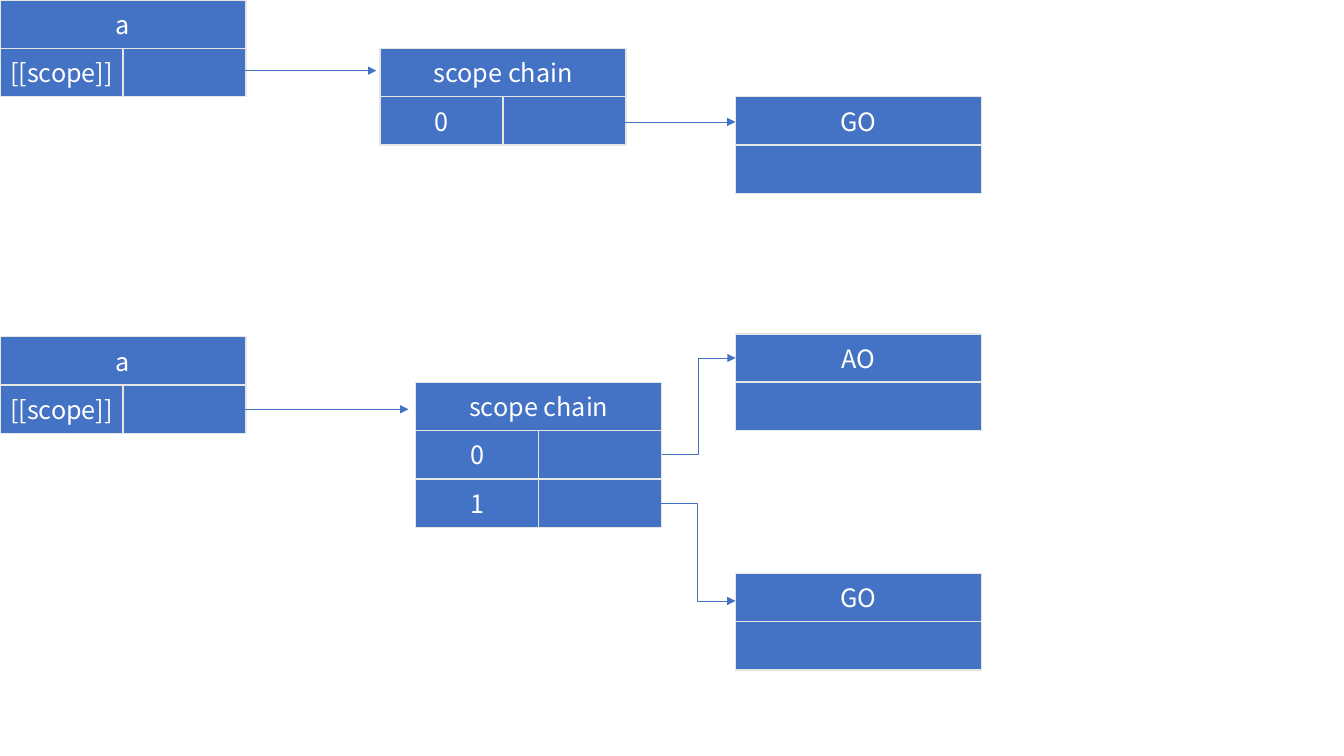
import pptx
import pptx.util
import pptx.dml.color
import pptx.enum.shapes
import pptx.enum.text
import pptx.oxml.ns
import lxml.etree

COLORS = {"box": "4472C4", "border": "E7E6E6", "arrow": "4472C4", "text": "FFFFFF"}
COLUMN = 1.22
ROW = 0.48
OBJECT_COLUMN = 5.98


def color(name):
    return pptx.dml.color.RGBColor.from_string(COLORS[name])


def across(columns):
    return pptx.util.Inches(columns * COLUMN)


def down(rows):
    return pptx.util.Inches(rows * ROW)


def add_child(parent, tag, **attributes):
    return lxml.etree.SubElement(parent, pptx.oxml.ns.qn(tag), **attributes)


def write(frame, text, size=18, font="Noto Sans CJK SC", ink="text"):
    frame.word_wrap = True
    frame.margin_left = frame.margin_right = pptx.util.Inches(0.05)
    frame.vertical_anchor = pptx.enum.text.MSO_ANCHOR.MIDDLE
    para = frame.paragraphs[0]
    para.alignment = pptx.enum.text.PP_ALIGN.CENTER
    span = para.add_run()
    span.text = text
    span.font.size = pptx.util.Pt(size)
    span.font.name = font
    span.font.color.rgb = color(ink)


class ScopeDiagram:
    def __init__(self, page, border_width=1, arrow_width=0.5):
        self.page = page
        self.border_width = pptx.util.Pt(border_width)
        self.arrow_width = pptx.util.Pt(arrow_width)

    def cell(self, shapes, column, row, width, text):
        box = shapes.add_shape(pptx.enum.shapes.MSO_SHAPE.RECTANGLE,
                               across(column), down(row), across(width), down(1))
        box.shadow.inherit = False
        box.fill.solid()
        box.fill.fore_color.rgb = color("box")
        box.line.color.rgb = color("border")
        box.line.width = self.border_width
        if text:
            write(box.text_frame, text)

    def record(self, column, row, rows, grouped=True):
        shapes = self.page.shapes
        if grouped:
            shapes = shapes.add_group_shape().shapes
        for row_index, texts in enumerate(rows):
            width = 2 / len(texts)
            for index, text in enumerate(texts):
                self.cell(shapes, column + index * width, row + row_index, width, text)

    def arrow(self, start, end, elbow=False, bend=0.5):
        kinds = pptx.enum.shapes.MSO_CONNECTOR
        line = self.page.shapes.add_connector(
            kinds.ELBOW if elbow else kinds.STRAIGHT,
            across(start[0]), down(start[1]), across(end[0]), down(end[1]))
        line.line.color.rgb = color("arrow")
        line.line.width = self.arrow_width
        add_child(line.line._get_or_add_ln(), "a:tailEnd", type="triangle")
        properties = line._element.spPr
        add_child(properties, "a:effectLst")
        if elbow:
            guides = properties.find(".//" + pptx.oxml.ns.qn("a:avLst"))
            add_child(guides, "a:gd", name="adj1", fmla=f"val {round(bend * 100000)}")


def main():
    deck = pptx.Presentation()
    deck.slide_width = pptx.util.Inches(13.33)
    deck.slide_height = pptx.util.Inches(7.5)
    diagram = ScopeDiagram(deck.slides.add_slide(deck.slide_layouts[6]))

    function_rows = [["a"], ["[[scope]]", ""]]
    chain_rows = [["scope chain"], ["0", ""]]

    diagram.record(0, 0, function_rows)
    diagram.arrow((1.52, 1.46), (3.06, 1.46))
    diagram.record(3.09, 1, chain_rows, grouped=False)
    diagram.arrow((4.62, 2.52), (OBJECT_COLUMN, 2.52))
    diagram.record(OBJECT_COLUMN, 2, [["GO"], [""]])

    diagram.record(0, 6.96, function_rows)
    diagram.arrow((1.78, 8.46), (3.32, 8.46))
    diagram.record(3.38, 7.9, chain_rows + [["1", ""]], grouped=False)
    for name, row in (("AO", 6.9), ("GO", 11.85)):
        diagram.record(OBJECT_COLUMN, row, [[name], [""]])
    diagram.arrow((5.38, 9.4), (OBJECT_COLUMN, 7.4), elbow=True)
    diagram.arrow((4.83, 10.4), (OBJECT_COLUMN, 12.42), elbow=True, bend=0.73)

    deck.save("out.pptx")


if __name__ == "__main__":
    main()
